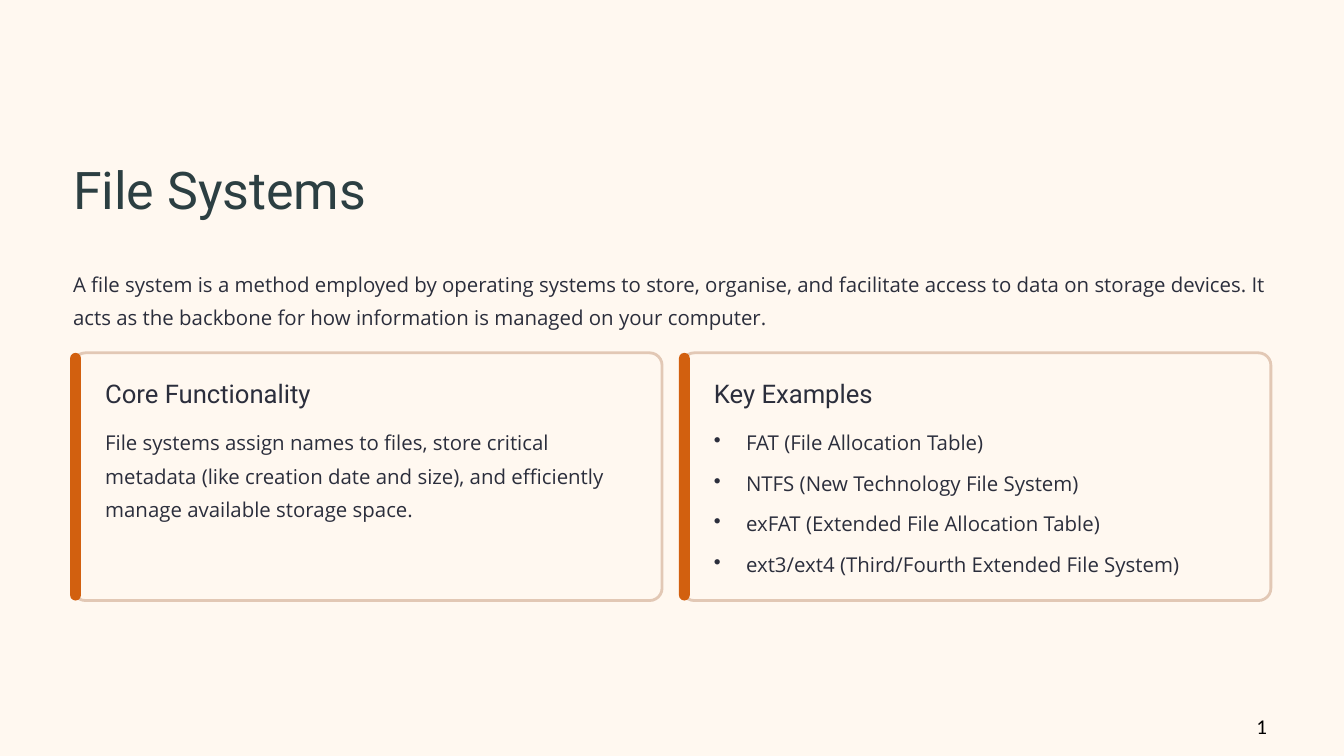
from lxml import etree
from pptx import Presentation
from pptx.dml.color import RGBColor
from pptx.enum import shapes as kinds
from pptx.oxml import ns
from pptx.util import Cm, Pt

COLORS = {
    "cream": "FFF8F0",
    "heading": "2C3F42",
    "body": "2B2E3C",
    "border": "E2C8B5",
    "accent": "D2600F",
    "number": "000000",
}
BODY = {"size": 17.5, "line": 28.5}
MARGIN, CONTENT_WIDTH = 2.21, 36.22
CARD_TOP, CARD_HEIGHT, CARD_GAP = 10.67, 7.49, 0.6
CARD_WIDTH = (CONTENT_WIDTH - CARD_GAP) / 2

CARDS = [
    ("Core Functionality",
     ["File systems assign names to files, store critical metadata (like "
      "creation date and size), and efficiently manage available storage space."],
     False),
    ("Key Examples",
     ["FAT (File Allocation Table)",
      "NTFS (New Technology File System)",
      "exFAT (Extended File Allocation Table)",
      "ext3/ext4 (Third/Fourth Extended File System)"],
     True),
]


def rgb(name):
    return RGBColor.from_string(COLORS[name])


def add_bullet(paragraph):
    properties = paragraph._p.get_or_add_pPr()
    properties.set("marL", str(Cm(0.97)))
    properties.set("indent", str(-Cm(0.97)))
    etree.SubElement(properties, ns.qn("a:buChar")).set("char", "•")


def add_text(slide, box, lines, size, line=None, font="Open Sans",
             color="body", bullets=False, gap=0, inset=(0, 0)):
    """Place one paragraph per line in box (left, top, width, height in cm)."""
    frame = slide.shapes.add_textbox(*map(Cm, box)).text_frame
    frame.word_wrap = True
    frame.margin_left = frame.margin_right = Cm(inset[0])
    frame.margin_top = frame.margin_bottom = Cm(inset[1])
    for index, words in enumerate(lines):
        paragraph = frame.paragraphs[0] if index == 0 else frame.add_paragraph()
        if bullets:
            add_bullet(paragraph)
        if line:
            paragraph.line_spacing = Pt(line)
        if index and gap:
            paragraph.space_before = Pt(gap)
        run = paragraph.add_run()
        run.text = words
        run.font.name = font
        run.font.size = Pt(size)
        run.font.color.rgb = rgb(color)


def add_panel(slide, box, fill, rounding, border=None):
    panel = slide.shapes.add_shape(
        kinds.MSO_SHAPE.ROUNDED_RECTANGLE, *map(Cm, box))
    panel.adjustments[0] = rounding
    panel.shadow.inherit = False
    panel.fill.solid()
    panel.fill.fore_color.rgb = rgb(fill)
    if border:
        panel.line.color.rgb = rgb(border)
        panel.line.width = Pt(2.4)
    else:
        panel.line.fill.background()


def add_header(slide, left, top, width):
    add_text(slide, (left, top, width, 1.98), ["File Systems"],
             size=44.5, line=55.5, font="Roboto", color="heading")
    add_text(slide, (left, top + 3.25, width, 2.01),
             ["A file system is a method employed by operating systems to store, "
              "organise, and facilitate access to data on storage devices. It acts "
              "as the backbone for how information is managed on your computer."],
             **BODY)


def add_card(slide, left, top, width, height, heading, lines, bullets):
    add_panel(slide, (left, top, width, height), "cream", 0.05, "border")
    add_panel(slide, (left - 0.09, top, 0.33, height), "accent", 0.5)
    text_left, text_width = left + 0.97, width - 1.68
    add_text(slide, (text_left, top + 0.71, text_width, 0.99), [heading],
             size=22, line=27.5, font="Roboto")
    add_text(slide, (text_left, top + 2.08, text_width, height - 2.79), lines,
             bullets=bullets, gap=6.3, **BODY)


def add_page_number(slide, left, top, width, height):
    add_text(slide, (left, top, width, height), ["1"], size=18,
             font="Calibri", color="number", inset=(0.25, 0.13))


def main():
    deck = Presentation()
    deck.slide_width, deck.slide_height = Cm(40.64), Cm(22.86)
    slide = deck.slides.add_slide(deck.slide_layouts[6])
    slide.background.fill.solid()
    slide.background.fill.fore_color.rgb = rgb("cream")

    add_header(slide, MARGIN, 4.7, CONTENT_WIDTH)
    for column, card in enumerate(CARDS):
        left = MARGIN + column * (CARD_WIDTH + CARD_GAP)
        add_card(slide, left, CARD_TOP, CARD_WIDTH, CARD_HEIGHT, *card)
    add_page_number(slide, 37.74, 21.44, 2.9, 1.02)
    deck.save("out.pptx")


if __name__ == "__main__":
    main()
